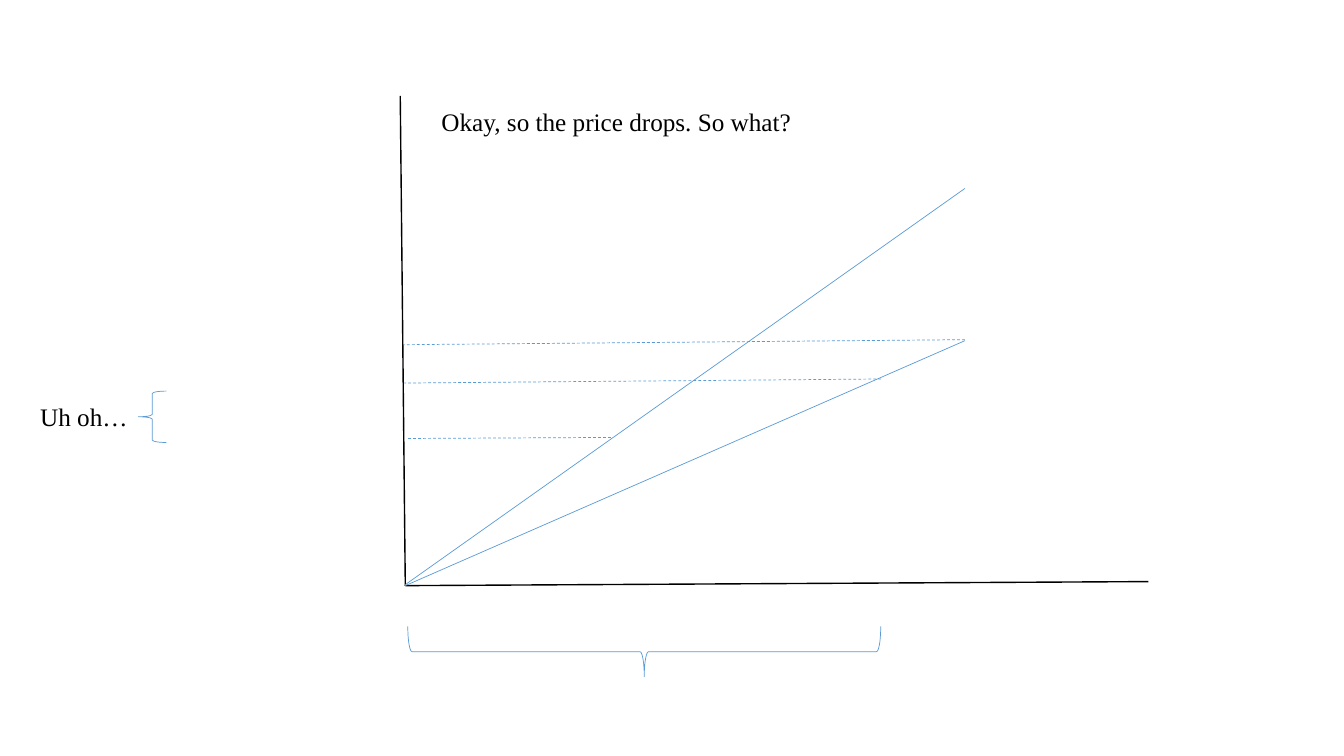
"""Build a slide that shows two supply lines and the effect of a falling price."""
from typing import NamedTuple, Optional

from lxml.etree import SubElement
from pptx import Presentation
from pptx.dml.color import RGBColor
from pptx.enum.dml import MSO_LINE
from pptx.enum.shapes import MSO_CONNECTOR, MSO_SHAPE
from pptx.enum.text import MSO_AUTO_SIZE
from pptx.oxml.ns import qn
from pptx.slide import Slide
from pptx.util import Emu, Pt

PX = 9144
BLACK = RGBColor(0x00, 0x00, 0x00)
BLUE = RGBColor(0x5B, 0x9B, 0xD5)
FONT = "Times New Roman"


class Line(NamedTuple):
    x1: int
    y1: int
    x2: int
    y2: int
    color: RGBColor = BLUE
    weight: float = 0.5
    dash: Optional[MSO_LINE] = None


class Brace(NamedTuple):
    x: int
    y: int
    w: int
    h: int
    rotation: int = 0


AXES = [
    Line(397, 95, 402, 581, BLACK, 1),
    Line(1139, 577, 402, 581, BLACK, 1),
]
SUPPLY_LINES = [
    Line(957, 187, 402, 580),
    Line(402, 581, 957, 338),
    Line(402, 581, 401, 581),
]
PRICE_LEVELS = [
    Line(957, 337, 400, 342, dash=MSO_LINE.DASH),
    Line(874, 376, 401, 380, dash=MSO_LINE.DASH),
    Line(606, 434, 403, 435, dash=MSO_LINE.DASH),
]
BRACES = [
    Brace(614, 412, 50, 469, rotation=270),
    Brace(137, 388, 28, 51),
]


def px(n: int) -> Emu:
    return Emu(n * PX)


def add_line(s: Slide, line: Line) -> None:
    ends = (px(n) for n in line[:4])
    cxn = s.shapes.add_connector(MSO_CONNECTOR.STRAIGHT, *ends)
    cxn.line.color.rgb = line.color
    cxn.line.width = Pt(line.weight)
    if line.dash is not None:
        cxn.line.dash_style = line.dash
    SubElement(cxn.element.spPr, qn("a:effectLst"))


def add_brace(s: Slide, brace: Brace) -> None:
    box = (px(n) for n in brace[:4])
    sp = s.shapes.add_shape(MSO_SHAPE.LEFT_BRACE, *box)
    sp.rotation = brace.rotation
    sp.shadow.inherit = False
    sp.fill.background()
    sp.line.color.rgb = BLUE
    sp.line.width = Pt(0.5)


def add_text(s: Slide, text: str, *, x: int, y: int, w: int, h: int,
             size: int = 18, color: RGBColor = BLACK, wrap: bool = True) -> None:
    tf = s.shapes.add_textbox(px(x), px(y), px(w), px(h)).text_frame
    tf.word_wrap = wrap
    tf.auto_size = MSO_AUTO_SIZE.SHAPE_TO_FIT_TEXT
    r = tf.paragraphs[0].add_run()
    r.text = text
    r.font.name = FONT
    r.font.size = Pt(size)
    r.font.color.rgb = color


def main() -> None:
    prs = Presentation()
    prs.slide_width, prs.slide_height = px(1333), px(750)
    s = prs.slides.add_slide(prs.slide_layouts.get_by_name("Blank"))
    for line in AXES + SUPPLY_LINES + PRICE_LEVELS:
        add_line(s, line)
    for brace in BRACES:
        add_brace(s, brace)
    add_text(s, "Okay, so the price drops. So what?", x=428, y=101, w=371, h=40, wrap=False)
    add_text(s, "Uh oh…", x=30, y=393, w=112, h=40)
    prs.save("out.pptx")


if __name__ == "__main__":
    main()
